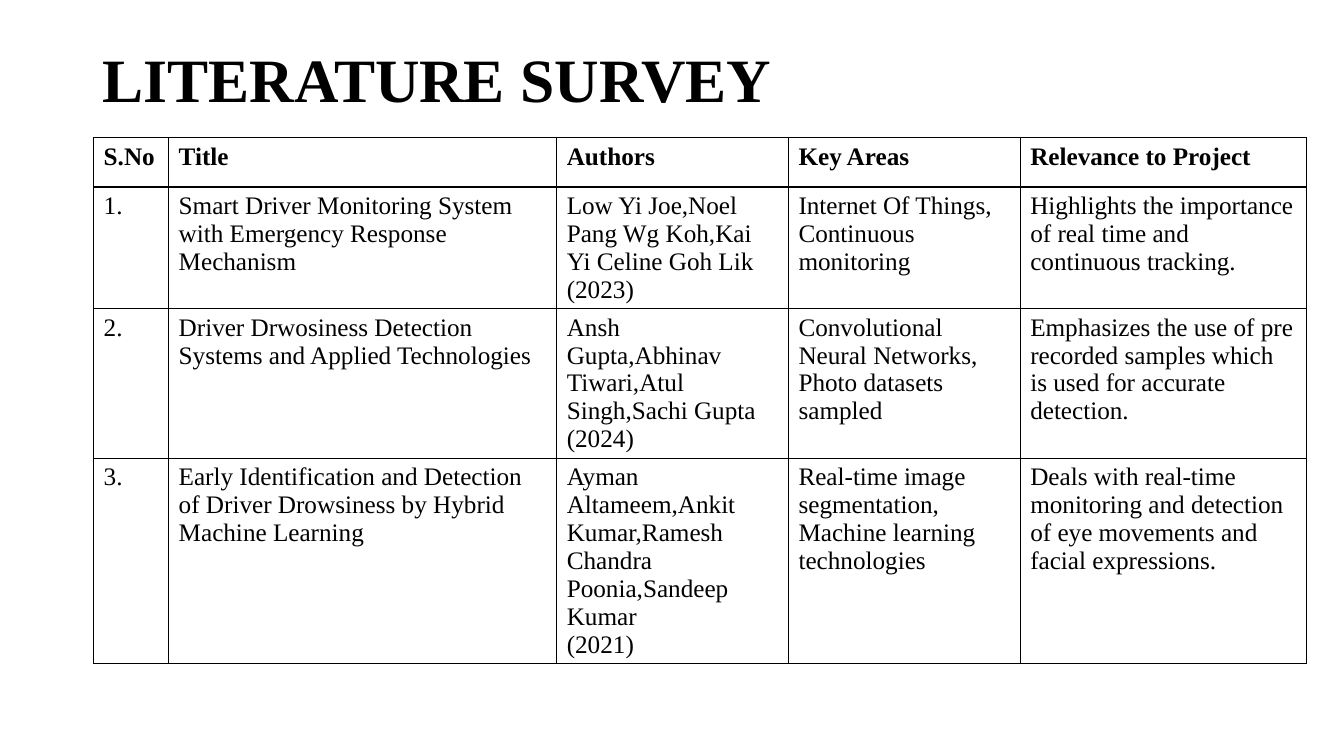
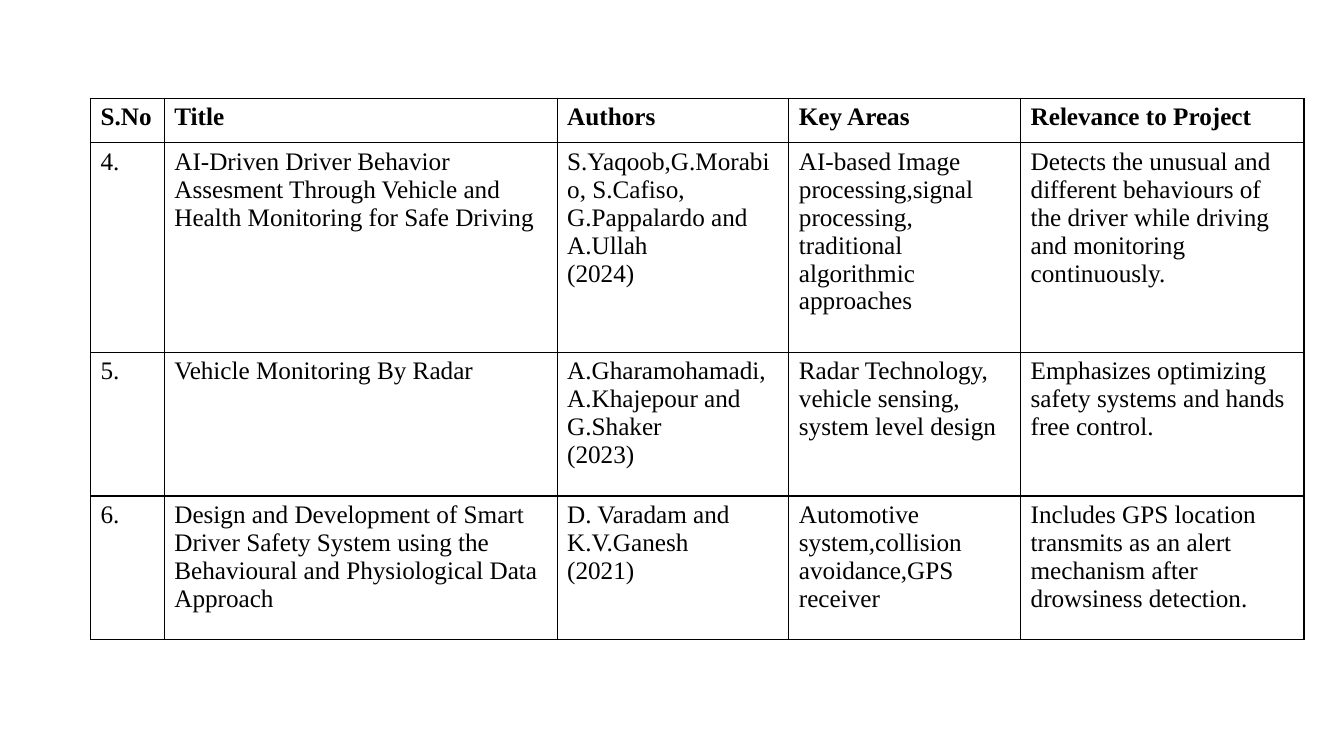
from lxml.etree import SubElement
from pptx import Presentation
from pptx.dml.color import RGBColor
from pptx.enum.text import MSO_ANCHOR, PP_ALIGN
from pptx.oxml.ns import qn
from pptx.util import Cm, Pt

# Shared style
FONT = "Times New Roman"
BLACK = "000000"
TITLE_SIZE, TABLE_SIZE = 44, 18
BORDER_WIDTH = 1
TITLE_ONLY, BLANK = 5, 6

HEADER = ["S.No", "Title", "Authors", "Key Areas", "Relevance to Project"]

# Table contents; a line feed starts a new paragraph
FIRST_PAPERS = [
    ["1.",
     "Smart Driver Monitoring System with Emergency Response Mechanism",
     "Low Yi Joe,Noel Pang Wg Koh,Kai Yi Celine Goh Lik (2023)",
     "Internet Of Things,\nContinuous monitoring",
     "Highlights the importance of real time and continuous tracking."],
    ["2.",
     "Driver Drwosiness Detection Systems and Applied Technologies",
     "Ansh Gupta,Abhinav Tiwari,Atul Singh,Sachi Gupta\n(2024)",
     "Convolutional Neural Networks,\nPhoto datasets sampled",
     "Emphasizes the use of pre recorded samples which is used for "
     "accurate detection."],
    ["3.",
     "Early Identification and Detection of Driver Drowsiness by Hybrid "
     "Machine Learning",
     "Ayman Altameem,Ankit Kumar,Ramesh Chandra Poonia,Sandeep Kumar\n(2021)",
     "Real-time image segmentation,\nMachine learning technologies",
     "Deals with real-time monitoring and detection of eye movements and "
     "facial expressions."],
]
SECOND_PAPERS = [
    ["4.",
     "AI-Driven Driver Behavior Assesment Through Vehicle and Health "
     "Monitoring for Safe Driving",
     "S.Yaqoob,G.Morabio, S.Cafiso, G.Pappalardo and A.Ullah\n(2024)",
     "AI-based Image processing,signal processing, traditional algorithmic "
     "approaches",
     "Detects the unusual and different behaviours of the driver while "
     "driving and monitoring continuously."],
    ["5.",
     "Vehicle Monitoring By Radar",
     "A.Gharamohamadi,\nA.Khajepour and G.Shaker\n(2023)",
     "Radar Technology, vehicle sensing, system level design",
     "Emphasizes optimizing safety systems and hands free control."],
    ["6.",
     "Design and Development of Smart Driver Safety System using the "
     "Behavioural and Physiological Data Approach",
     "D. Varadam and K.V.Ganesh\n(2021)",
     "Automotive system,collision avoidance,GPS receiver",
     "Includes GPS location transmits as an alert mechanism after "
     "drowsiness detection."],
]


def rgb(color):
    return RGBColor.from_string(color)


def format_text(tf, size, bold):
    for p in tf.paragraphs:
        p.alignment = PP_ALIGN.LEFT
        for r in p.runs:
            r.font.name = FONT
            r.font.size = Pt(size)
            r.font.bold = bold
            r.font.color.rgb = rgb(BLACK)


def set_title(slide, text):
    sp = slide.shapes.title
    sp.left, sp.top, sp.width, sp.height = Cm(2.33), Cm(1.01), Cm(29.21), Cm(3.68)
    tf = sp.text_frame
    tf.text = text
    tf.word_wrap = True
    tf.vertical_anchor = MSO_ANCHOR.TOP
    tf.margin_top = Cm(0.23)
    tf.paragraphs[0].line_spacing = 0.9
    format_text(tf, TITLE_SIZE, True)


def add_borders(cell):
    tcPr = cell._tc.get_or_add_tcPr()
    for side in ("lnL", "lnR", "lnT", "lnB"):
        ln = SubElement(tcPr, qn(f"a:{side}"), w=str(Pt(BORDER_WIDTH)))
        fill = SubElement(ln, qn("a:solidFill"))
        SubElement(fill, qn("a:srgbClr"), val=BLACK)


def add_survey_table(slide, left, top, widths, heights, papers):
    rows = [HEADER] + papers
    frame = slide.shapes.add_table(len(rows), len(HEADER), Cm(left), Cm(top),
                                   Cm(sum(widths)), Cm(sum(heights)))
    table = frame.table
    table.first_row = table.horz_banding = False
    for column, width in zip(table.columns, widths):
        column.width = Cm(width)
    for row, height in zip(table.rows, heights):
        row.height = Cm(height)
    for i, texts in enumerate(rows):
        for j, text in enumerate(texts):
            cell = table.cell(i, j)
            cell.text_frame.text = text
            format_text(cell.text_frame, TABLE_SIZE, i == 0)
            add_borders(cell)
            cell.fill.background()


def main():
    prs = Presentation()
    prs.slide_width, prs.slide_height = Cm(33.87), Cm(19.05)

    # Papers 1 to 3, under the title
    s = prs.slides.add_slide(prs.slide_layouts[TITLE_ONLY])
    set_title(s, "LITERATURE SURVEY")
    add_survey_table(s, 2.36, 3.47, [1.89, 9.78, 5.84, 5.84, 7.21],
                     [1.24, 3.05, 3.75, 5.1], FIRST_PAPERS)

    # Papers 4 to 6
    s = prs.slides.add_slide(prs.slide_layouts[BLANK])
    add_survey_table(s, 2.28, 2.48, [1.86, 9.9, 5.84, 5.84, 7.14],
                     [1.12, 5.28, 3.62, 3.62], SECOND_PAPERS)

    prs.save("out.pptx")


if __name__ == "__main__":
    main()
